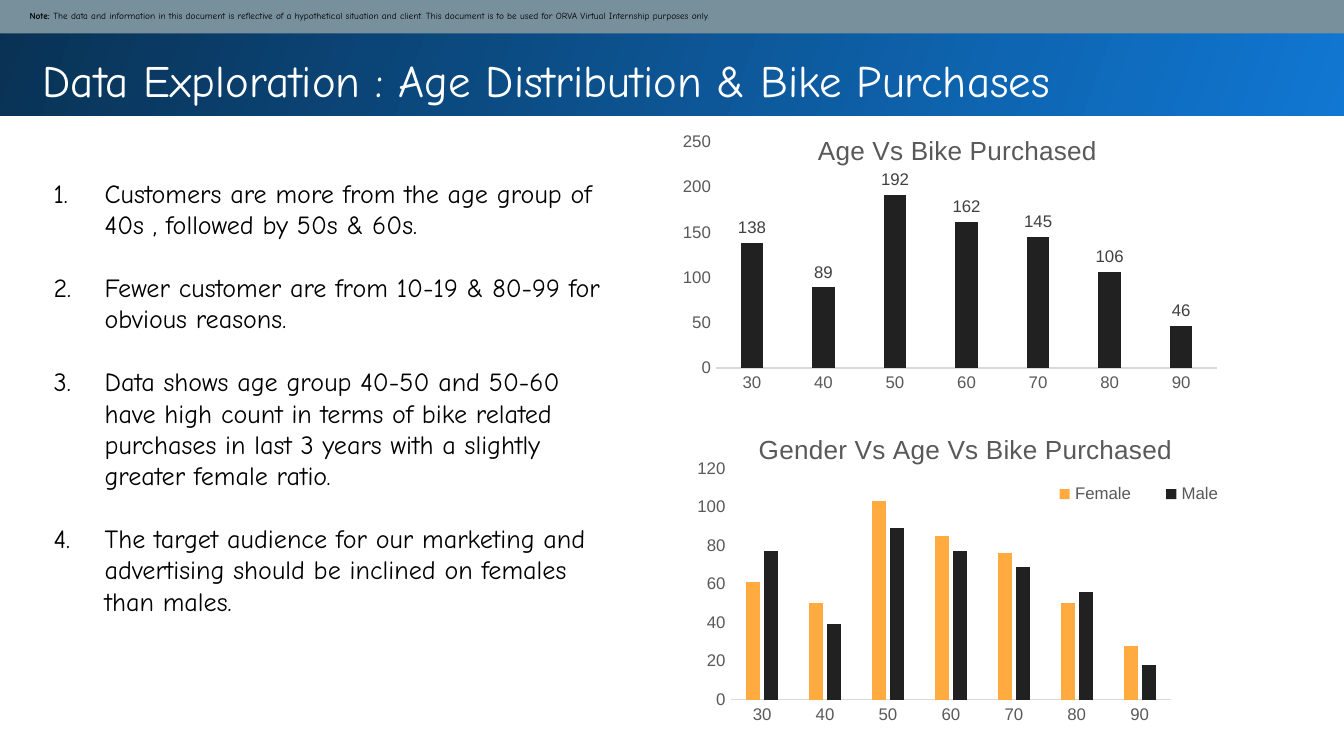
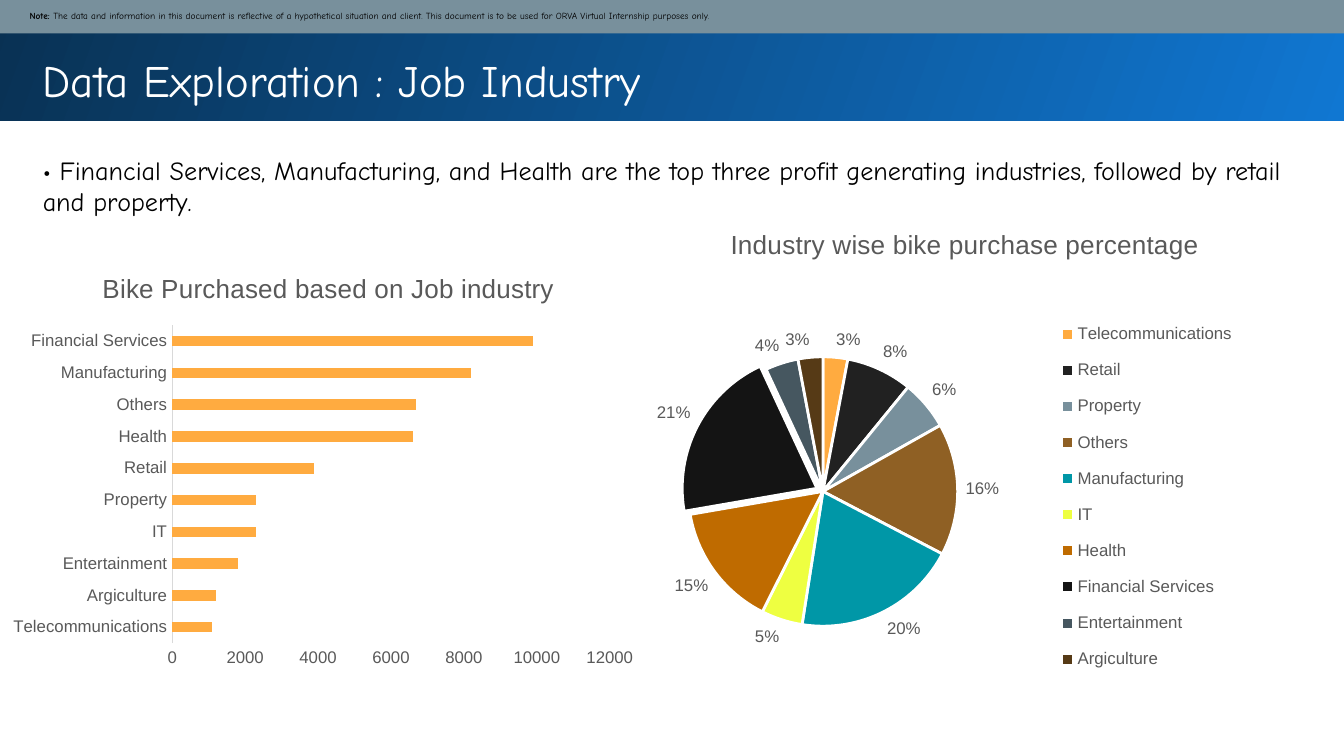
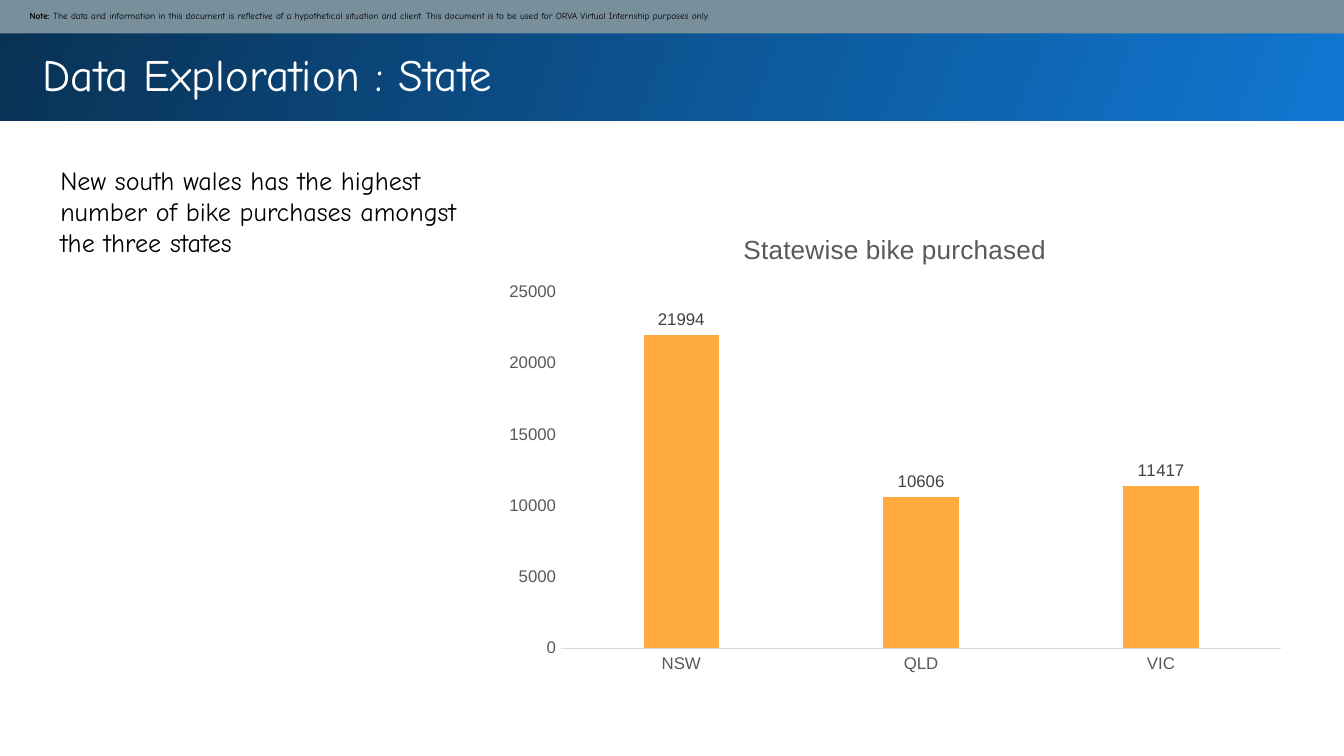
from lxml.etree import SubElement
from pptx import Presentation
from pptx.chart.data import CategoryChartData
from pptx.dml.color import RGBColor
from pptx.enum.chart import XL_CHART_TYPE as ChartType
from pptx.enum.chart import XL_LABEL_POSITION as LabelPosition
from pptx.enum.chart import XL_LEGEND_POSITION as LegendPosition
from pptx.enum.chart import XL_TICK_MARK as TickMark
from pptx.enum.shapes import MSO_SHAPE as Shape
from pptx.enum.text import MSO_ANCHOR as Anchor
from pptx.enum.text import MSO_AUTO_SIZE as AutoSize
from pptx.enum.text import PP_ALIGN as Align
from pptx.oxml import parse_xml
from pptx.oxml.ns import nsdecls, qn
from pptx.util import Inches, Pt

# Colours and fonts
WHITE = RGBColor(0xFF, 0xFF, 0xFF)
BLACK = RGBColor(0, 0, 0)
BRIGHT_BLUE = RGBColor(0x10, 0x77, 0xD2)
NAVY = RGBColor(0x09, 0x31, 0x53)
SLATE = RGBColor(0x78, 0x90, 0x9C)
ORANGE = RGBColor(0xFF, 0xAB, 0x40)
CHARCOAL = RGBColor(0x21, 0x21, 0x21)
GREY = RGBColor(0x59, 0x59, 0x59)
LABEL_GREY = RGBColor(0x40, 0x40, 0x40)
AXIS_GREY = RGBColor(0xD9, 0xD9, 0xD9)
BROWN = RGBColor(0x8F, 0x60, 0x24)
TEAL = RGBColor(0x00, 0x97, 0xA7)
YELLOW = RGBColor(0xEE, 0xFF, 0x41)
RUST = RGBColor(0xBF, 0x6B, 0x00)
NEAR_BLACK = RGBColor(0x14, 0x14, 0x14)
DARK_SLATE = RGBColor(0x46, 0x57, 0x60)
DARK_BROWN = RGBColor(0x56, 0x3A, 0x16)
TEXT_FONT = "Comic Neue"
CHART_FONT = "Arial"

# Content
NOTE = [
    ("Note: ", True),
    ("The data and information in this document is reflective of a hypothetical "
     "situation and client. This document is to be used for ORVA Virtual "
     "Internship purposes only.", False),
]
AGES = ["30", "40", "50", "60", "70", "80", "90"]
INDUSTRY_PURCHASES = [
    ("Telecommunications", 1100), ("Argiculture", 1200), ("Entertainment", 1800),
    ("IT", 2300), ("Property", 2300), ("Retail", 3900), ("Health", 6600),
    ("Others", 6700), ("Manufacturing", 8200), ("Financial Services", 9900),
]
INDUSTRY_SHARES = [
    ("Telecommunications", 3, ORANGE), ("Retail", 8, CHARCOAL),
    ("Property", 6, SLATE), ("Others", 16, BROWN),
    ("Manufacturing", 20, TEAL), ("IT", 5, YELLOW),
    ("Health", 15, RUST), ("Financial Services", 21, NEAR_BLACK),
    ("Entertainment", 4, DARK_SLATE), ("Argiculture", 3, DARK_BROWN),
]
SLIDES = [
    {
        "title": "Data Exploration : Age Distribution & Bike Purchases",
        "title_box": (0.22, 0.29, 9.37, 0.74),
        "band_top": -0.06,
        "body_box": (0.3, 1.27, 4.29, 3.4),
        "numbered": True,
        "body": [
            "Customers are more from the age group of 40s , followed by 50s & 60s.",
            "Fewer customer are from 10-19 & 80-99 for obvious reasons.",
            "Data shows age group 40-50 and 50-60 have high count in terms of bike "
            "related purchases in last 3 years with a slightly greater female ratio.",
            "The target audience for our marketing and advertising should be "
            "inclined on females than males.",
        ],
        "charts": [
            {"title": "Age Vs Bike Purchased", "box": (4.88, 0.86, 4.49, 2.21),
             "kind": ChartType.COLUMN_CLUSTERED, "categories": AGES,
             "series": [("Series 1", [138, 89, 192, 162, 145, 106, 46], CHARCOAL)],
             "scale": (250, 50), "gap": 219, "overlap": -27, "labels": True,
             "plot": (0.1, 0.09, 0.83, 0.76)},
            {"title": "Gender Vs Age Vs Bike Purchased", "box": (5, 3.08, 4.37, 2.39),
             "kind": ChartType.COLUMN_CLUSTERED, "categories": AGES,
             "series": [("Female", [61, 50, 103, 85, 76, 50, 28], ORANGE),
                        ("Male", [77, 39, 89, 77, 69, 56, 18], CHARCOAL)],
             "scale": (120, 20), "gap": 219, "overlap": -27,
             "plot": (0.1, 0.17, 0.75, 0.72),
             "legend": (0.61, 0.21, 0.37, 0.08)},
        ],
    },
    {
        "title": "Data Exploration : Job Industry",
        "title_box": (0.22, 0.29, 9.37, 0.67),
        "body_box": (0.22, 1.1, 9.54, 0.57),
        "body": ["• Financial Services, Manufacturing, and Health are the top three "
                 "profit generating industries, followed by retail and property."],
        "charts": [
            {"title": "Bike Purchased based on Job industry",
             "box": (0.1, 1.87, 4.67, 3.24), "kind": ChartType.BAR_CLUSTERED,
             "categories": [name for name, _ in INDUSTRY_PURCHASES],
             "series": [("Series 1", [n for _, n in INDUSTRY_PURCHASES], ORANGE)],
             "scale": (12000, 2000), "gap": 200, "overlap": 0,
             "plot": (0.25, 0.17, 0.7, 0.73)},
            {"title": "Industry wise bike purchase percentage",
             "box": (4.47, 1.53, 5.42, 3.8), "kind": ChartType.PIE,
             "categories": [name for name, _, _ in INDUSTRY_SHARES],
             "series": [("Series 1", [share for _, share, _ in INDUSTRY_SHARES], None)],
             "slices": [color for _, _, color in INDUSTRY_SHARES],
             "pulled_out": "Financial Services",
             "plot": (0.12, 0.19, 0.37, 0.74),
             "legend": (0.61, 0.2, 0.28, 0.74)},
        ],
    },
    {
        "title": "Data Exploration : State",
        "title_box": (0.22, 0.25, 9.37, 0.51),
        "body_box": (0.35, 1.17, 3.28, 0.81),
        "body": ["New south wales has the highest number of bike purchases amongst "
                 "the three states"],
        "charts": [
            {"title": "Statewise bike purchased", "box": (3.67, 1.57, 5.98, 3.51),
             "kind": ChartType.COLUMN_CLUSTERED, "categories": ["NSW", "QLD", "VIC"],
             "series": [("Series 1", [21994, 10606, 11417], ORANGE)],
             "scale": (25000, 5000), "gap": 219, "overlap": -27, "labels": True},
        ],
    },
]


def inches(box):
    return [Inches(length) for length in box]


def style_font(font, size, color, name=CHART_FONT, bold=False):
    font.size, font.name, font.bold = Pt(size), name, bold
    font.color.rgb = color


def add_run(paragraph, text, size, color, name=TEXT_FONT, bold=False):
    run = paragraph.add_run()
    run.text = text
    style_font(run.font, size, color, name, bold)


def add_bar(slide, box):
    bar = slide.shapes.add_shape(Shape.RECTANGLE, *inches(box))
    bar.shadow.inherit = False
    bar.line.fill.background()
    return bar


# Header: gradient band, title and note strip
def add_header(slide, content):
    band = add_bar(slide, (-0.02, content.get("band_top", -0.02), 10.05, 0.92))
    band.fill.gradient()
    band.fill.gradient_angle = 160
    for stop, color in zip(band.fill.gradient_stops, (BRIGHT_BLUE, NAVY)):
        stop.color.rgb = color

    title = slide.shapes.add_textbox(*inches(content["title_box"])).text_frame
    title.word_wrap = True
    title.margin_top = title.margin_bottom = Inches(0.1)
    add_run(title.paragraphs[0], content["title"], 24, WHITE)

    strip = add_bar(slide, (-0.01, -0.01, 10.03, 0.26))
    strip.fill.solid()
    strip.fill.fore_color.rgb = SLATE
    note = strip.text_frame
    note.vertical_anchor = Anchor.MIDDLE
    note.margin_left = Inches(0.23)
    note.margin_right = note.margin_top = note.margin_bottom = Inches(0.05)
    note.paragraphs[0].alignment = Align.LEFT
    for text, bold in NOTE:
        add_run(note.paragraphs[0], text, 5, BLACK, bold=bold)


def number_paragraph(paragraph):
    properties = paragraph._p.get_or_add_pPr()
    properties.set("marL", str(Inches(0.38)))
    properties.set("indent", str(-Inches(0.38)))
    bullet_color = SubElement(properties, qn("a:buClr"))
    SubElement(bullet_color, qn("a:srgbClr"), val=str(BLACK))
    SubElement(properties, qn("a:buAutoNum"), type="arabicPeriod")


def add_body(slide, content):
    body = slide.shapes.add_textbox(*inches(content["body_box"])).text_frame
    body.word_wrap = True
    body.auto_size = AutoSize.SHAPE_TO_FIT_TEXT
    for i, text in enumerate(content["body"]):
        paragraph = body.add_paragraph() if i else body.paragraphs[0]
        if i:
            paragraph.space_before = Pt(16.8)
        if content.get("numbered"):
            number_paragraph(paragraph)
        add_run(paragraph, text, 14, BLACK)


# Charts
def place(parent, index, box, inner=False):
    """Give a plot area or legend a fixed place, in fractions of the chart."""
    for old in parent.findall(qn("c:layout")):
        parent.remove(old)
    target = '<c:layoutTarget val="inner"/>' if inner else ""
    modes = '<c:xMode val="edge"/><c:yMode val="edge"/>'
    sizes = "".join(f'<c:{key} val="{part}"/>' for key, part in zip("xywh", box))
    parent.insert(index, parse_xml(
        f'<c:layout {nsdecls("c")}><c:manualLayout>{target}{modes}{sizes}'
        "</c:manualLayout></c:layout>"))


def show_labels(plot, color):
    plot.has_data_labels = True
    labels = plot.data_labels
    labels.position = LabelPosition.OUTSIDE_END
    style_font(labels.font, 9, color)
    return labels


def style_bars(chart, content):
    plot = chart.plots[0]
    plot.vary_by_categories = False
    plot.gap_width, plot.overlap = content["gap"], content["overlap"]
    for series, (_, _, color) in zip(plot.series, content["series"]):
        series.format.fill.solid()
        series.format.fill.fore_color.rgb = color
    for axis in (chart.category_axis, chart.value_axis):
        axis.has_major_gridlines = False
        axis.major_tick_mark = axis.minor_tick_mark = TickMark.NONE
        style_font(axis.tick_labels.font, 9, GREY)
    chart.category_axis.format.line.color.rgb = AXIS_GREY
    chart.category_axis.format.line.width = Pt(0.75)
    values = chart.value_axis
    values.format.line.fill.background()
    values.minimum_scale = 0
    values.maximum_scale, values.major_unit = content["scale"]
    if content.get("labels"):
        show_labels(plot, LABEL_GREY).show_value = True


def style_pie(chart, content):
    plot = chart.plots[0]
    plot.vary_by_categories = True
    series = plot.series[0]
    for i, color in enumerate(content["slices"]):
        piece = series.points[i].format
        piece.fill.solid()
        piece.fill.fore_color.rgb = color
        piece.line.color.rgb = WHITE
        piece.line.width = Pt(1.5)
    pulled_out = content["categories"].index(content["pulled_out"])
    point = series._element.findall(qn("c:dPt"))[pulled_out]
    point.find(qn("c:spPr")).addprevious(
        parse_xml(f'<c:explosion {nsdecls("c")} val="5"/>'))
    labels = show_labels(plot, GREY)
    labels.show_value, labels.show_percentage = False, True
    labels.number_format, labels.number_format_is_linked = "0%", False


def add_chart(slide, content):
    data = CategoryChartData()
    data.categories = content["categories"]
    for name, values, _ in content["series"]:
        data.add_series(name, values)
    chart = slide.shapes.add_chart(
        content["kind"], *inches(content["box"]), data).chart
    style_font(chart.font, 10, BLACK)
    chart.has_title = True
    add_run(chart.chart_title.text_frame.paragraphs[0], content["title"],
            14, GREY, CHART_FONT)
    if "slices" in content:
        style_pie(chart, content)
    else:
        style_bars(chart, content)
    if "plot" in content:
        place(chart._chartSpace.chart.plotArea, 0, content["plot"], inner=True)
    chart.has_legend = "legend" in content
    if chart.has_legend:
        chart.legend.position = LegendPosition.RIGHT
        chart.legend.include_in_layout = False
        style_font(chart.legend.font, 9, GREY)
        place(chart.legend._element, 1, content["legend"])


def main():
    deck = Presentation()
    # Widescreen, 16:9
    deck.slide_width = Inches(10)
    deck.slide_height = Inches(10 * 9 / 16)
    for content in SLIDES:
        slide = deck.slides.add_slide(deck.slide_layouts[6])
        add_header(slide, content)
        add_body(slide, content)
        for chart in content["charts"]:
            add_chart(slide, chart)
    deck.save("out.pptx")


if __name__ == "__main__":
    main()
